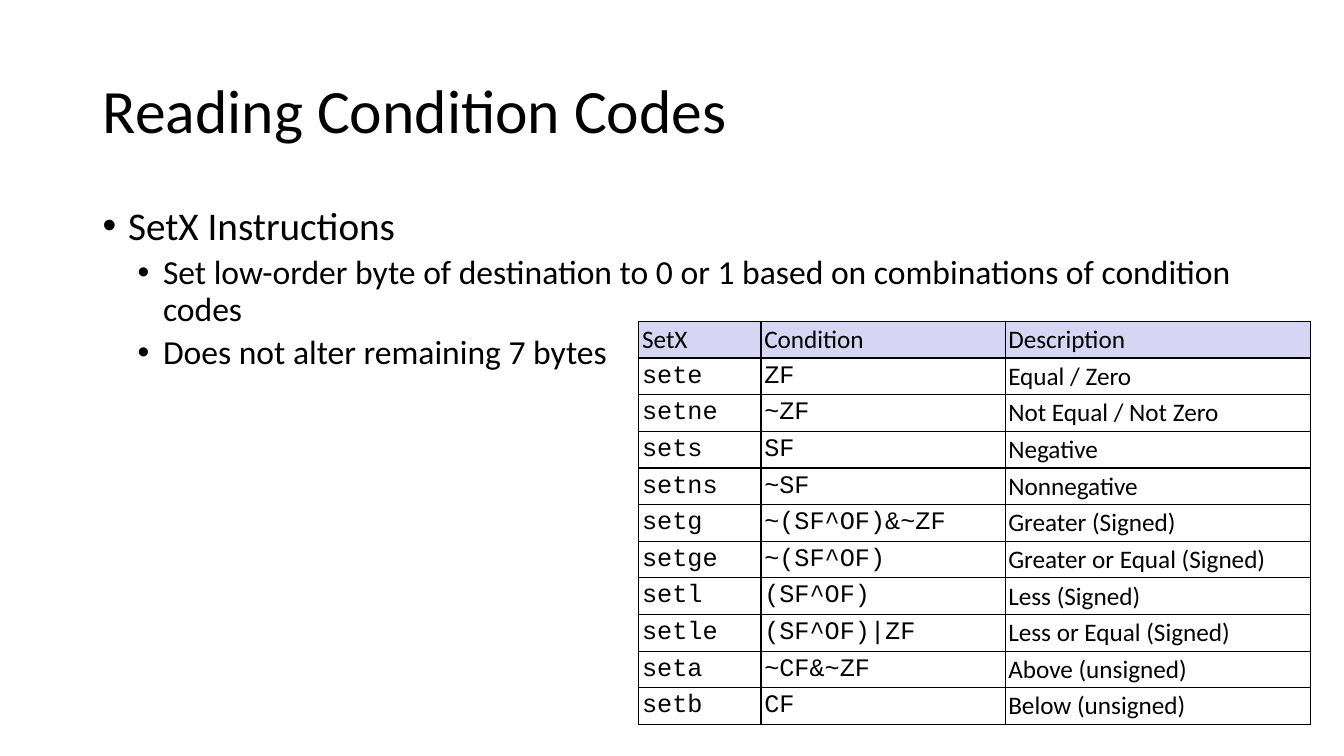
from lxml import etree
from pptx import Presentation, util as u
from pptx.dml.color import RGBColor
from pptx.enum import text
from pptx.oxml import ns

ROWS = [
    ("SetX", "Condition", "Description"),
    ("sete", "ZF", "Equal / Zero"),
    ("setne", "~ZF", "Not Equal / Not Zero"),
    ("sets", "SF", "Negative"),
    ("setns", "~SF", "Nonnegative"),
    ("setg", "~(SF^OF)&~ZF", "Greater (Signed)"),
    ("setge", "~(SF^OF)", "Greater or Equal (Signed)"),
    ("setl", "(SF^OF)", "Less (Signed)"),
    ("setle", "(SF^OF)|ZF", "Less or Equal (Signed)"),
    ("seta", "~CF&~ZF", "Above (unsigned)"),
    ("setb", "CF", "Below (unsigned)"),
]
BULLETS = [
    (0, "SetX Instructions"),
    (1, "Set low-order byte of destination to 0 or 1 based on combinations of condition codes"),
    (1, "Does not alter remaining 7 bytes"),
]


def color(value):
    return RGBColor.from_string(value)


def add_element(parent, tag, **attributes):
    return etree.SubElement(parent, ns.qn(tag), attributes)


class SlideBuilder:
    BODY_FONT, CODE_FONT = "Calibri", "Courier New"
    INK, HEADER = "000000", "D6D6F4"
    LEVELS = [(28, 0.64, 10), (24, 1.52, 5)]  # size, left margin in cm, space before
    HANGING = 0.64
    CELL_MARGIN = 0.08

    def __init__(self, presentation):
        self.slide = presentation.slides.add_slide(presentation.slide_layouts[5])

    def style(self, paragraph, size, name=BODY_FONT):
        font = paragraph.font
        font.size, font.name = u.Pt(size), name
        font.color.rgb = color(self.INK)

    def title(self, wording, left, top, width, height):
        shape = self.slide.shapes.title
        shape.left, shape.top = u.Cm(left), u.Cm(top)
        shape.width, shape.height = u.Cm(width), u.Cm(height)
        frame = shape.text_frame
        frame.text = wording
        frame.vertical_anchor = text.MSO_ANCHOR.MIDDLE
        paragraph = frame.paragraphs[0]
        paragraph.alignment = text.PP_ALIGN.LEFT
        paragraph.line_spacing = 0.9
        self.style(paragraph, 44)

    def bullets(self, items, left, top, width, height):
        shape = self.slide.shapes.add_textbox(*map(u.Cm, (left, top, width, height)))
        frame = shape.text_frame
        frame.word_wrap = True
        for index, (level, wording) in enumerate(items):
            paragraph = frame.add_paragraph() if index else frame.paragraphs[0]
            paragraph.text = wording
            paragraph.level = level
            size, margin, space = self.LEVELS[level]
            properties = paragraph._p.get_or_add_pPr()
            properties.set("marL", str(u.Cm(margin)))
            properties.set("indent", str(-u.Cm(self.HANGING)))
            add_element(properties, "a:buFont", typeface="Arial")
            add_element(properties, "a:buChar", char="•")
            paragraph.line_spacing = 0.9
            if index:
                paragraph.space_before = u.Pt(space)
            self.style(paragraph, size)

    def borders(self, cell):
        properties = cell._tc.get_or_add_tcPr()
        for side in "LRTB":
            line = add_element(properties, f"a:ln{side}", w=str(u.Pt(1)))
            add_element(add_element(line, "a:solidFill"), "a:srgbClr", val=self.INK)

    def table(self, rows, left, top, widths, row_height):
        frame = self.slide.shapes.add_table(
            len(rows), len(widths), u.Cm(left), u.Cm(top),
            u.Cm(sum(widths)), u.Cm(row_height * len(rows)))
        table = frame.table
        table.first_row = table.horz_banding = False
        for column, width in zip(table.columns, widths):
            column.width = u.Cm(width)
        for row_index, row in enumerate(rows):
            for column_index, wording in enumerate(row):
                cell = table.cell(row_index, column_index)
                is_code = row_index > 0 and column_index < 2
                self.cell(cell, wording, is_code, is_header=row_index == 0)

    def cell(self, cell, wording, is_code, is_header):
        cell.text = wording
        cell.vertical_anchor = text.MSO_ANCHOR.MIDDLE
        cell.margin_left = cell.margin_right = u.Cm(self.CELL_MARGIN)
        cell.margin_top = cell.margin_bottom = u.Cm(self.CELL_MARGIN)
        self.borders(cell)
        if is_header:
            cell.fill.solid()
            cell.fill.fore_color.rgb = color(self.HEADER)
        else:
            cell.fill.background()
        name = self.CODE_FONT if is_code else self.BODY_FONT
        self.style(cell.text_frame.paragraphs[0], 18, name)


def main():
    presentation = Presentation()
    presentation.slide_width, presentation.slide_height = u.Cm(33.87), u.Cm(19.05)
    builder = SlideBuilder(presentation)
    builder.title("Reading Condition Codes", 2.34, 1.02, 29.21, 3.68)
    builder.bullets(BULLETS, 2.34, 5.08, 29.21, 12.09)
    builder.table(ROWS, 16.1, 8.1, (3.08, 6.15, 7.7), 0.9)
    presentation.save("out.pptx")


if __name__ == "__main__":
    main()
